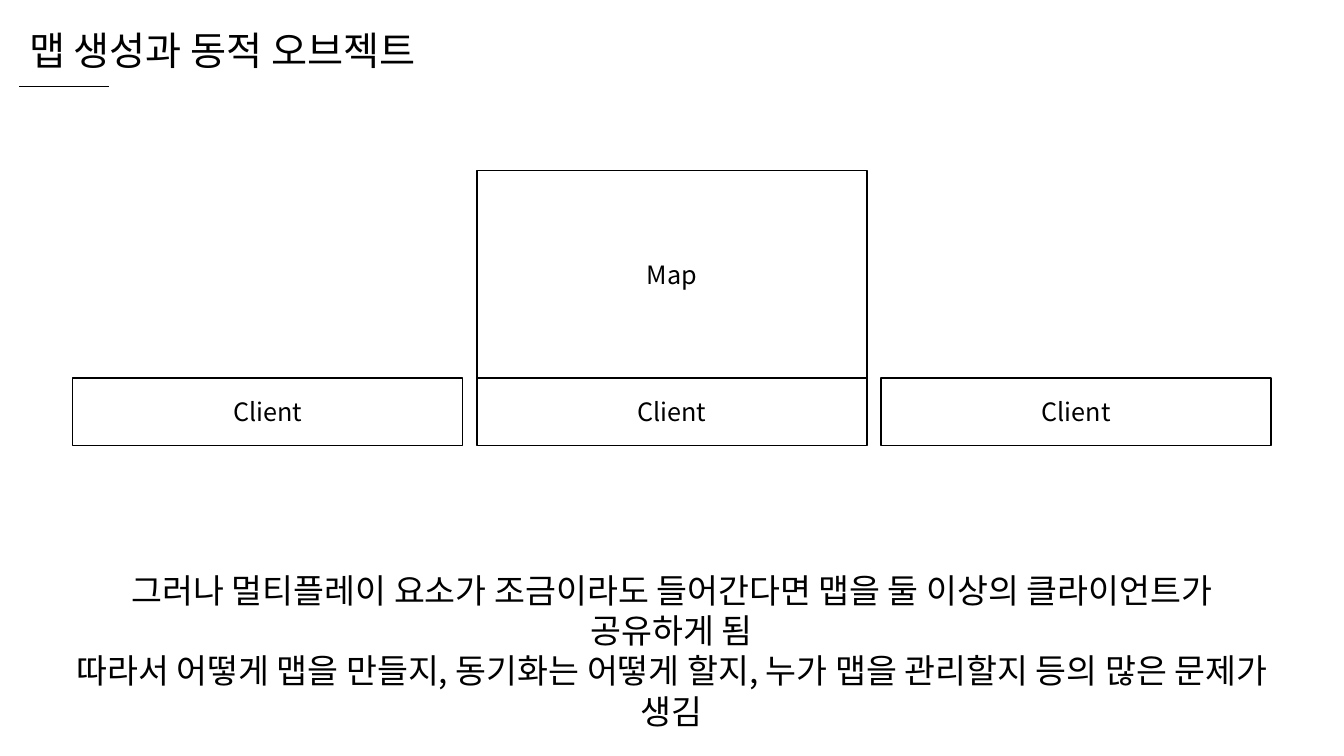
"""Build the slide on map creation and dynamic objects shared by clients."""
from dataclasses import dataclass

from lxml.etree import SubElement
from pptx import Presentation
from pptx.dml.color import RGBColor
from pptx.enum.shapes import MSO_CONNECTOR, MSO_SHAPE
from pptx.enum.text import MSO_ANCHOR, MSO_AUTO_SIZE, PP_ALIGN
from pptx.oxml.ns import qn
from pptx.slide import Slide
from pptx.text.text import TextFrame
from pptx.util import Pt


@dataclass(frozen=True)
class Theme:
    font: str = "Noto Sans CJK KR"
    ink: RGBColor = RGBColor(0, 0, 0)
    paper: RGBColor = RGBColor(255, 255, 255)
    title: float = 28
    body: float = 24
    label: float = 18
    rule: float = 0.5
    border: float = 1


@dataclass(frozen=True)
class Block:
    left: float
    top: float
    width: float
    height: float
    lines: tuple[str, ...]
    size: float
    align: PP_ALIGN = PP_ALIGN.CENTER


THEME = Theme()
SLIDE_W, SLIDE_H = 960, 540
BOX_W, BOX_GAP = 278.6, 10.1
CLIENTS, CLIENT_TOP, CLIENT_H = 3, 270, 48.2
MAP_H = 148.3
MARGIN = 13.7
TITLE_W = 330
RULE_Y, RULE_W = 61.4, 64


def write(tf: TextFrame, block: Block) -> None:
    tf.word_wrap = True
    tf.text = "\n".join(block.lines)
    for p in tf.paragraphs:
        p.alignment = block.align
        p.font.size = Pt(block.size)
        p.font.color.rgb = THEME.ink
        p.font.name = THEME.font
        SubElement(p.font._element, qn("a:ea"), typeface=THEME.font)


def add_text(s: Slide, block: Block) -> None:
    sp = s.shapes.add_textbox(Pt(block.left), Pt(block.top), Pt(block.width), Pt(block.height))
    write(sp.text_frame, block)
    sp.text_frame.auto_size = MSO_AUTO_SIZE.SHAPE_TO_FIT_TEXT


def add_box(s: Slide, block: Block) -> None:
    sp = s.shapes.add_shape(
        MSO_SHAPE.RECTANGLE, Pt(block.left), Pt(block.top), Pt(block.width), Pt(block.height)
    )
    sp.shadow.inherit = False
    sp.fill.solid()
    sp.fill.fore_color.rgb = THEME.paper
    sp.line.color.rgb = THEME.ink
    sp.line.width = Pt(THEME.border)
    write(sp.text_frame, block)
    sp.text_frame.vertical_anchor = MSO_ANCHOR.MIDDLE


def add_rule(s: Slide, left: float, y: float, width: float) -> None:
    line = s.shapes.add_connector(MSO_CONNECTOR.STRAIGHT, Pt(left), Pt(y), Pt(left + width), Pt(y))
    line.line.color.rgb = THEME.ink
    line.line.width = Pt(THEME.rule)
    SubElement(line._element.spPr, qn("a:effectLst"))


def main() -> None:
    prs = Presentation()
    prs.slide_width, prs.slide_height = Pt(SLIDE_W), Pt(SLIDE_H)
    s = prs.slides.add_slide(prs.slide_layouts[6])

    title = ("맵 생성과 동적 오브젝트",)
    add_text(s, Block(MARGIN, 15.1, TITLE_W, 41, title, THEME.title, PP_ALIGN.LEFT))
    add_rule(s, MARGIN, RULE_Y, RULE_W)

    body = (
        "그러나 멀티플레이 요소가 조금이라도 들어간다면 맵을 둘 이상의 클라이언트가 공유하게 됨",
        "따라서 어떻게 맵을 만들지, 동기화는 어떻게 할지, 누가 맵을 관리할지 등의 많은 문제가 생김",
    )
    add_text(s, Block(43.2, 403.2, 873.4, 65.5, body, THEME.body))

    map_left = (SLIDE_W - BOX_W) / 2
    add_box(s, Block(map_left, CLIENT_TOP - MAP_H, BOX_W, MAP_H, ("Map",), THEME.label))
    row_left = (SLIDE_W - CLIENTS * BOX_W - (CLIENTS - 1) * BOX_GAP) / 2
    for i in range(CLIENTS):
        left = row_left + i * (BOX_W + BOX_GAP)
        add_box(s, Block(left, CLIENT_TOP, BOX_W, CLIENT_H, ("Client",), THEME.label))

    prs.save("out.pptx")


main()
